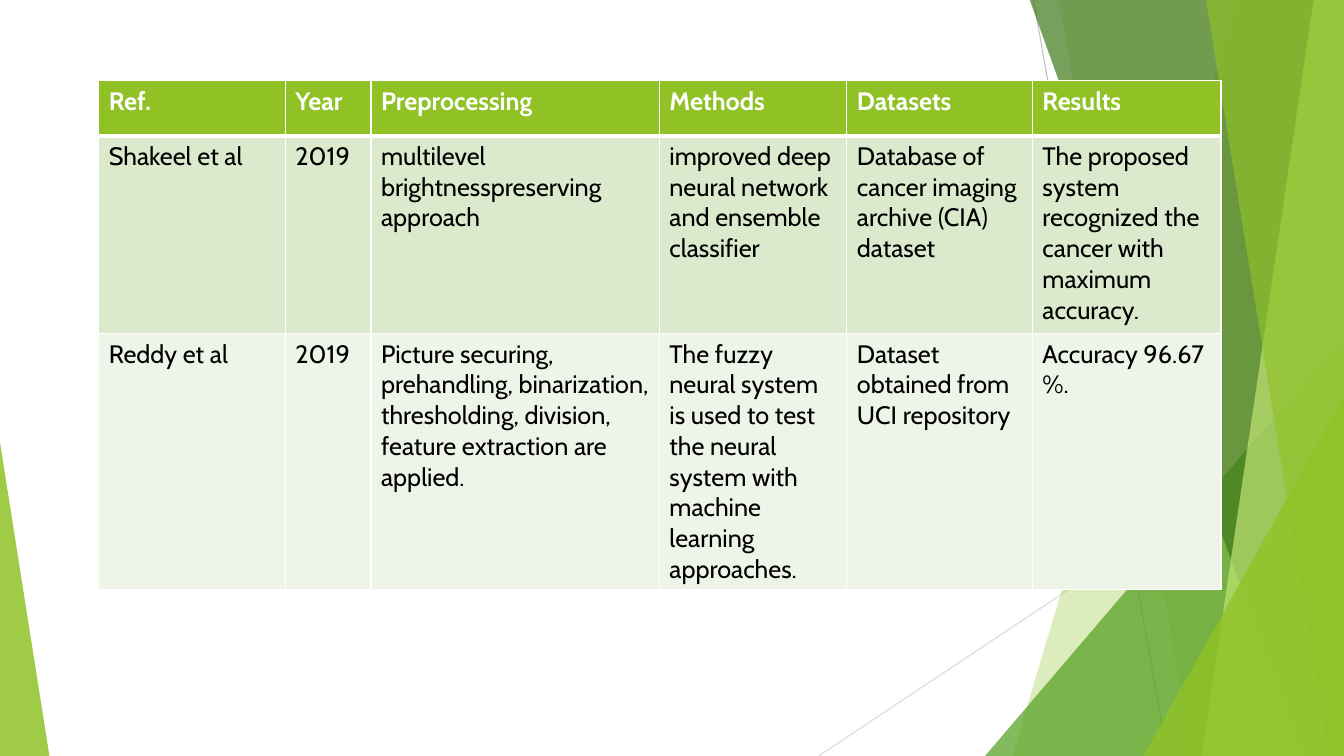
from lxml.etree import SubElement
from pptx import Presentation
from pptx.dml.color import RGBColor
from pptx.enum.shapes import MSO_CONNECTOR as Connector, MSO_SHAPE as Shape
from pptx.oxml.ns import qn
from pptx.util import Inches, Pt

WHITE = RGBColor(0xFF, 0xFF, 0xFF)
BLACK = RGBColor(0x00, 0x00, 0x00)
GRAY = RGBColor(0xBF, 0xBF, 0xBF)
LIGHT_GRAY = RGBColor(0xD9, 0xD9, 0xD9)
LIME = RGBColor(0x90, 0xC2, 0x26)
GREEN = RGBColor(0x54, 0xA0, 0x21)
FOREST = RGBColor(0x3F, 0x78, 0x19)
PALE_LIME = RGBColor(0xC0, 0xE4, 0x74)
BAND_DARK = RGBColor(0xDB, 0xE9, 0xCD)
BAND_LIGHT = RGBColor(0xEE, 0xF4, 0xE8)

WIDTH, HEIGHT = 13.33, 7.5
PANEL_TOP = -0.01

STUDIES = [
    ["Ref.", "Year", "Preprocessing", "Methods", "Datasets", "Results"],
    ["Shakeel et al", "2019", "multilevel brightnesspreserving approach",
     "improved deep neural network and ensemble classifier",
     "Database of cancer imaging archive (CIA) dataset",
     "The proposed system recognized the cancer with maximum accuracy."],
    ["Reddy et al", "2019",
     "Picture securing, prehandling, binarization, thresholding, division, "
     "feature extraction are applied.",
     "The fuzzy neural system is used to test the neural system with "
     "machine learning approaches.",
     "Dataset obtained from UCI repository", "Accuracy 96.67 %."],
]
COLUMN_WIDTHS = [1.85, 0.85, 2.86, 1.86, 1.84, 1.87]
ROW_HEIGHTS = [0.55, 1.96, 1.96]
ROW_FILLS = [LIME, BAND_DARK, BAND_LIGHT]


class FacetSlide:
    font_format = {"name": "Cabin", "size": Pt(18)}

    def __init__(self, slide):
        self.slide = slide
        self.shapes = slide.shapes

    def ray(self, start, end, color):
        ray = self.shapes.add_connector(
            Connector.STRAIGHT, *(Inches(v) for v in (*start, *end)))
        ray.line.color.rgb = color
        ray.line.width = Pt(0.75)
        SubElement(ray._element.spPr, qn("a:effectLst"))

    def tint(self, facet, color, opacity):
        facet.shadow.inherit = False
        facet.fill.solid()
        facet.fill.fore_color.rgb = color
        facet.line.fill.background()
        color_node = facet._element.spPr.find(qn("a:solidFill"))[0]
        SubElement(color_node, qn("a:alpha"), val=str(opacity * 1000))

    def panel(self, top_x, bottom_x, color, opacity):
        corners = [(Inches(x), Inches(y)) for x, y in (
            (top_x, PANEL_TOP), (WIDTH, PANEL_TOP),
            (WIDTH, HEIGHT), (bottom_x, HEIGHT))]
        outline = self.shapes.build_freeform(*corners[0])
        outline.add_line_segments(corners[1:], close=True)
        self.tint(outline.convert_to_shape(), color, opacity)

    def wedge(self, left, top, width, apex, color, opacity):
        wedge = self.shapes.add_shape(
            Shape.ISOSCELES_TRIANGLE, Inches(left), Inches(top),
            Inches(width), Inches(HEIGHT - top))
        wedge.adjustments[0] = apex
        self.tint(wedge, color, opacity)

    def borders(self, cell, widths):
        properties = cell._tc.get_or_add_tcPr()
        for side, width in widths.items():
            edge = SubElement(properties, qn(f"a:ln{side}"), w=str(Pt(width)))
            fill = SubElement(edge, qn("a:solidFill"))
            SubElement(fill, qn("a:srgbClr"), val=str(WHITE))

    def table(self, left, top, rows):
        table = self.shapes.add_table(
            len(rows), len(COLUMN_WIDTHS), Inches(left), Inches(top),
            Inches(sum(COLUMN_WIDTHS)), Inches(sum(ROW_HEIGHTS))).table
        for column, width in zip(table.columns, COLUMN_WIDTHS):
            column.width = Inches(width)
        for index, texts in enumerate(rows):
            table.rows[index].height = Inches(ROW_HEIGHTS[index])
            header = index == 0
            font_format = {**self.font_format, "bold": header}
            widths = {"L": 1, "R": 1, "T": 3 if index == 1 else 1,
                      "B": 3 if header else 1}
            for cell, text in zip(table.rows[index].cells, texts):
                self.borders(cell, widths)
                cell.fill.solid()
                cell.fill.fore_color.rgb = ROW_FILLS[index]
                cell.text = text
                font = cell.text_frame.paragraphs[0].runs[0].font
                for attribute, value in font_format.items():
                    setattr(font, attribute, value)
                font.color.rgb = WHITE if header else BLACK


def main():
    deck = Presentation()
    deck.slide_width, deck.slide_height = Inches(WIDTH), Inches(HEIGHT)
    page = FacetSlide(deck.slides.add_slide(deck.slide_layouts[6]))

    page.ray((10.25, 0), (11.58, HEIGHT), GRAY)
    page.ray((WIDTH, 4.03), (8.12, HEIGHT), LIGHT_GRAY)
    page.panel(12.28, 10.04, LIME, 30)
    page.panel(10.5, 11.83, LIME, 20)
    page.wedge(9.77, 3.33, 3.56, 1, GREEN, 72)
    page.panel(10.21, 12.91, FOREST, 70)
    page.panel(13.03, 11.92, PALE_LIME, 70)
    page.panel(11.96, 13.18, LIME, 65)
    page.wedge(11.34, 3.93, 1.99, 1, LIME, 80)
    page.wedge(0, 4.39, 0.49, 0, LIME, 85)
    page.table(0.98, 0.8, STUDIES)

    deck.save("out.pptx")


if __name__ == "__main__":
    main()
